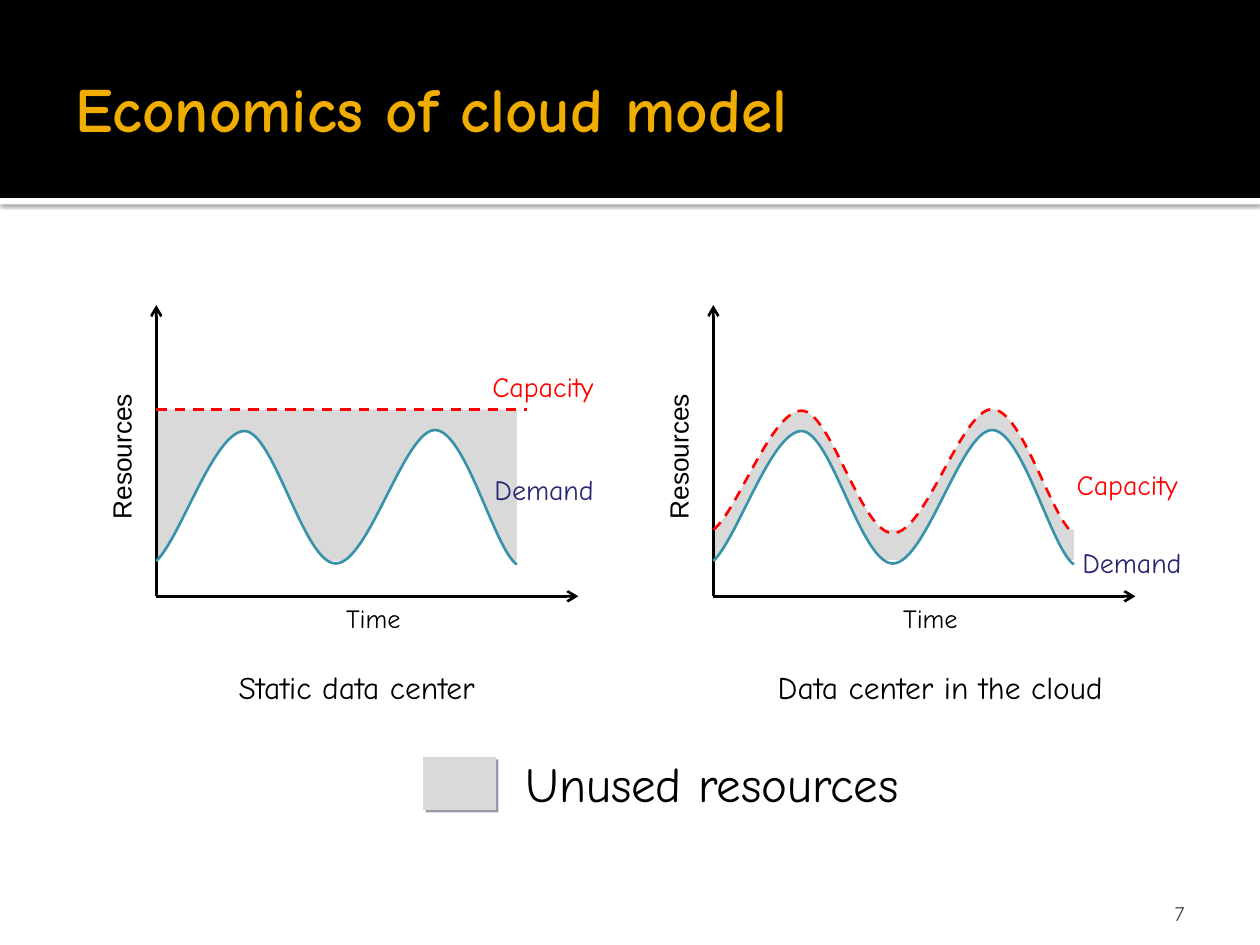
from lxml.etree import SubElement
from pptx import Presentation
from pptx.dml.color import RGBColor
from pptx.enum.dml import MSO_LINE
from pptx.enum.shapes import MSO_CONNECTOR, MSO_SHAPE
from pptx.enum.text import MSO_ANCHOR, PP_ALIGN
from pptx.oxml.ns import qn
from pptx.util import Cm, Pt

BLACK = RGBColor(0x00, 0x00, 0x00)
WHITE = RGBColor(0xFF, 0xFF, 0xFF)
GOLD = RGBColor(0xF0, 0xAD, 0x00)
GREY = RGBColor(0xD9, 0xD9, 0xD9)
TEAL = RGBColor(0x37, 0x92, 0xAA)
RED = RGBColor(0xFF, 0x00, 0x00)
NAVY = RGBColor(0x26, 0x26, 0x73)
SLATE = RGBColor(0x45, 0x45, 0x45)
SHADOW_NAVY = RGBColor(0x16, 0x16, 0x45)

AXIS_HEIGHT, AXIS_WIDTH, CURVE_WIDTH = 5.87, 8.51, 7.27
CURVE_X = [0, 0.48, 1.17, 1.78, 2.37, 2.98, 3.62, 4.28, 5, 5.62, 6.23, 6.82, CURVE_WIDTH]
DEMAND_Y = [5.16, 4.72, 2.54, 2.54, 2.54, 5.22, 5.21, 5.21, 2.52, 2.52, 2.52, 4.93, 5.23]
CAPACITY_Y = [4.53, 4.17, 2.13, 2.13, 2.13, 4.6, 4.6, 4.6, 2.1, 2.1, 2.1, 4.33, 4.61]
CAPACITY_TOP = 2.11


def add_text(slide, text, left, top, width, height, size=16, color=BLACK,
             font="Comic Neue", bold=False, align=PP_ALIGN.CENTER,
             anchor=MSO_ANCHOR.TOP, wrap=False, vertical=False):
    box = slide.shapes.add_textbox(Cm(left), Cm(top), Cm(width), Cm(height))
    frame = box.text_frame
    frame.word_wrap = wrap
    frame.vertical_anchor = anchor
    if vertical:
        frame._txBody.bodyPr.set("vert", "vert270")
    paragraph = frame.paragraphs[0]
    paragraph.alignment = align
    run = paragraph.add_run()
    run.text = text
    run.font.name = font
    run.font.size = Pt(size)
    run.font.bold = bold
    run.font.color.rgb = color
    return frame


def add_block(slide, left, top, width, height, color):
    block = slide.shapes.add_shape(
        MSO_SHAPE.RECTANGLE, Cm(left), Cm(top), Cm(width), Cm(height))
    block.shadow.inherit = False
    block.fill.solid()
    block.fill.fore_color.rgb = color
    block.line.fill.background()
    return block


def cast_shadow(block, color, opacity, blur, distance, angle):
    effects = block._element.spPr.find(qn("a:effectLst"))
    shadow = SubElement(effects, qn("a:outerShdw"), blurRad=str(Pt(blur)),
                        dist=str(Pt(distance)), dir=str(angle * 60000),
                        algn="tl", rotWithShape="0")
    tint = SubElement(shadow, qn("a:srgbClr"), val=str(color))
    SubElement(tint, qn("a:alpha"), val=str(opacity * 1000))


def style_line(line, color, dashed):
    line.color.rgb = color
    line.width = Pt(1.5)
    if dashed:
        line.dash_style = MSO_LINE.DASH


def add_line(slide, start, end, color=BLACK, dashed=False, arrow=False):
    connector = slide.shapes.add_connector(
        MSO_CONNECTOR.STRAIGHT, *[Cm(value) for value in (*start, *end)])
    style_line(connector.line, color, dashed)
    if arrow:
        SubElement(connector.line._get_or_add_ln(), qn("a:tailEnd"), type="arrow")
    SubElement(connector._element.spPr, qn("a:effectLst"))


def bend_segments(curve):
    outline = next(curve._element.iter(qn("a:path")))
    segments = outline.findall(qn("a:lnTo"))
    for i in range(0, len(segments), 3):
        bend = SubElement(outline, qn("a:cubicBezTo"))
        for segment in segments[i:i + 3]:
            bend.append(segment[0])
            outline.remove(segment)


def add_curve(slide, left, top, heights, fill=None, line=None, dashed=False):
    start, *points = [(Cm(left + x), Cm(top + y)) for x, y in zip(CURVE_X, heights)]
    builder = slide.shapes.build_freeform(*start)
    builder.add_line_segments(points, close=False)
    curve = builder.convert_to_shape()
    bend_segments(curve)
    curve.shadow.inherit = False
    if fill is None:
        curve.fill.background()
    else:
        curve.fill.solid()
        curve.fill.fore_color.rgb = fill
    if line is None:
        curve.line.fill.background()
    else:
        style_line(curve.line, line, dashed)


def add_header(slide, left, top, width, height):
    band = add_block(slide, left, top + height, width, 0.13, WHITE)
    cast_shadow(band, BLACK, 60, 2.5, 0.8, 90)
    add_block(slide, left, top, width, height, BLACK)
    title = add_text(slide, "Economics of cloud model", left + 1.27, top + 0.43,
                     width - 2.54, 3.48, size=36, color=GOLD, bold=True,
                     align=PP_ALIGN.LEFT, anchor=MSO_ANCHOR.MIDDLE, wrap=True)
    title.margin_right = Cm(0.13)


def add_plot(slide, left, top, caption, caption_box, capacity_at, demand_at, elastic):
    origin = (left, top + AXIS_HEIGHT)
    if elastic:
        add_block(slide, left, top + CAPACITY_Y[0], CURVE_WIDTH, 0.61, GREY)
        add_curve(slide, left, top, CAPACITY_Y, fill=GREY)
    else:
        add_block(slide, left, top + CAPACITY_TOP, CURVE_WIDTH, 3.05, GREY)
    add_line(slide, origin, (left, top), arrow=True)
    add_line(slide, origin, (left + AXIS_WIDTH, origin[1]), arrow=True)
    add_curve(slide, left, top, DEMAND_Y, fill=WHITE, line=TEAL)
    if elastic:
        add_curve(slide, left, top, CAPACITY_Y, line=RED, dashed=True)
    else:
        level = top + CAPACITY_TOP
        add_line(slide, (left, level), (left + 7.47, level), RED, dashed=True)
    for name, (x, y), width, color in (("Capacity", capacity_at, 2.67, RED),
                                       ("Demand", demand_at, 2.62, NAVY)):
        add_text(slide, name, left + x, top + y, width, 0.94, color=color)
    add_text(slide, "Time", left + 3.55, origin[1], 1.65, 0.89, size=15)
    add_text(slide, "Resources", left - 1.15, top + 1.66, 1.14, 2.79,
             size=15, font="Arial", vertical=True)
    caption_x, caption_width = caption_box
    add_text(slide, caption, left + caption_x, top + 7.19, caption_width, 1.3, size=18)


def add_legend(slide, left, top):
    add_text(slide, "Unused resources", left + 1.52, top, 8.61, 1.45, size=28)
    swatch = add_block(slide, left, top + 0.2, 1.47, 1.07, GREY)
    cast_shadow(swatch, SHADOW_NAVY, 43, 0, 2, 45)


def add_page_number(slide, left, top):
    number = add_text(slide, "7", left, top, 5.92, 1.32, size=12, color=SLATE,
                      align=PP_ALIGN.RIGHT, anchor=MSO_ANCHOR.BOTTOM, wrap=True)
    number.margin_bottom = 0


def main():
    deck = Presentation()
    deck.slide_width, deck.slide_height = Cm(25.4), Cm(19.05)
    slide = deck.slides.add_slide(deck.slide_layouts[6])
    add_header(slide, 0, 0, 25.4, 3.99)
    add_plot(slide, 3.15, 6.15, "Static data center", (0.46, 7.16),
             (6.46, 1.17), (6.51, 3.25), elastic=False)
    add_plot(slide, 14.38, 6.15, "Data center in the cloud", (-0.2, 9.55),
             (7.01, 3.15), (7.13, 4.72), elastic=True)
    add_legend(slide, 8.53, 15.06)
    add_page_number(slide, 18.21, 17.35)
    deck.save("out.pptx")


if __name__ == "__main__":
    main()
